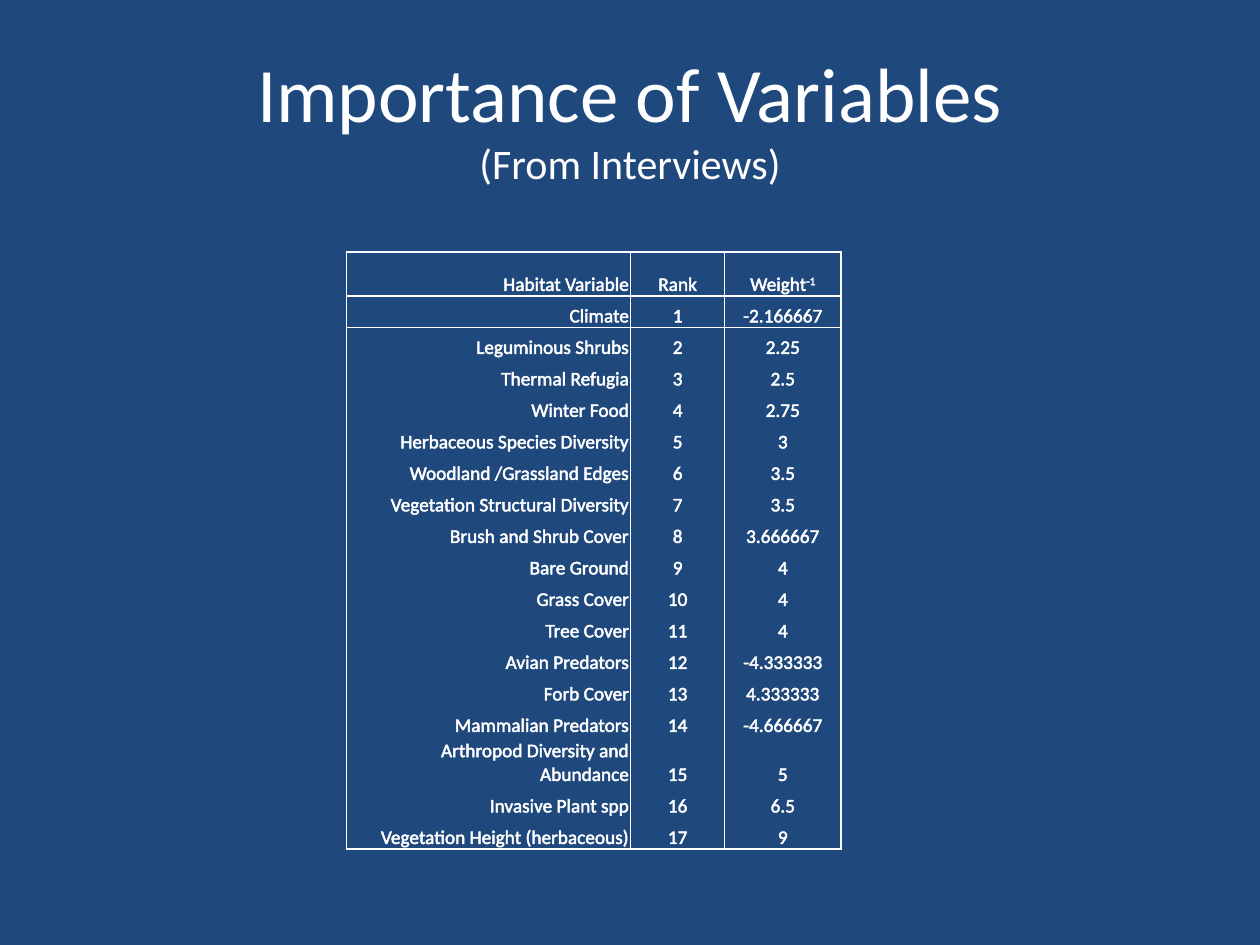
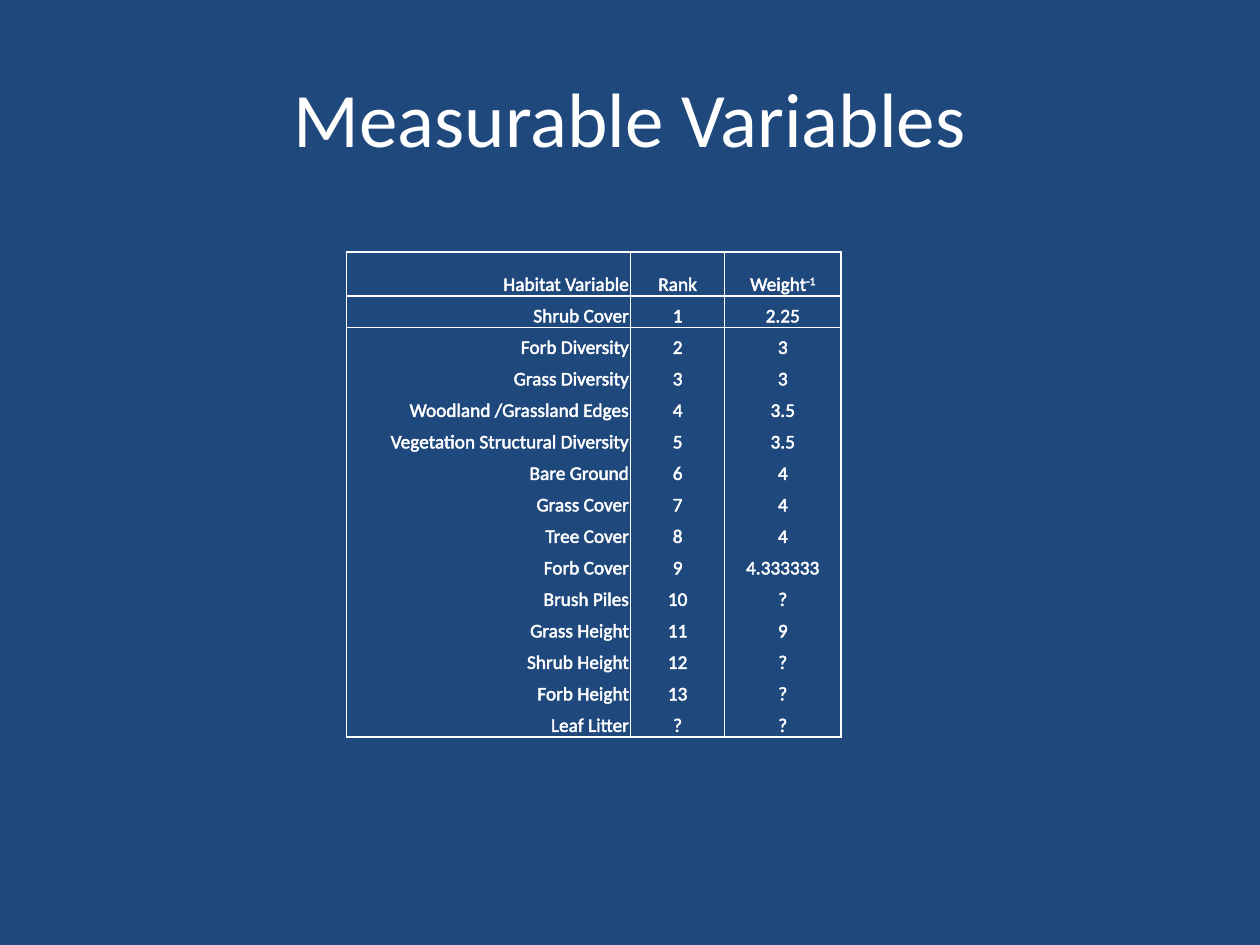
from dataclasses import dataclass

from lxml import etree
from pptx import Presentation
from pptx.dml.color import RGBColor
from pptx.enum.text import MSO_ANCHOR, MSO_AUTO_SIZE, PP_ALIGN
from pptx.oxml.ns import qn
from pptx.util import Cm, Pt

RIGHT, CENTER = PP_ALIGN.RIGHT, PP_ALIGN.CENTER
MIDDLE, BOTTOM = MSO_ANCHOR.MIDDLE, MSO_ANCHOR.BOTTOM
NO_AUTOFIT = MSO_AUTO_SIZE.NONE
TITLE_ONLY = 5
PLAIN_TABLE = "{2D5ABB26-0587-4C30-8999-92F81FD0307C}"


@dataclass(frozen=True)
class Theme:
    background: str = "1F497D"
    ink: str = "FFFFFF"
    font: str = "Calibri"
    title_size: int = 44
    subtitle_size: int = 24
    table_size: int = 11
    outline: float = 0.75
    rule: float = 1


THEME = Theme()


def add_line(parent, tag, width, position):
    line = etree.Element(qn(tag), w=str(int(Pt(width))))
    fill = etree.SubElement(line, qn("a:solidFill"))
    etree.SubElement(fill, qn("a:srgbClr"), val=THEME.ink)
    parent.insert(position, line)


def write(paragraph, text, *, size, align=CENTER, outlined=False, raised=False):
    paragraph.alignment = align
    run = paragraph.add_run()
    run.text = text
    run.font.size = Pt(size)
    run.font.name = THEME.font
    run.font.color.rgb = RGBColor.from_string(THEME.ink)
    properties = run.font._element
    if outlined:
        add_line(properties, "a:ln", THEME.outline, 0)
    if raised:
        properties.set("baseline", "30000")


HEADINGS = ("Habitat Variable", "Rank", "Weight")
EXPONENT = "-1"
COLUMN_WIDTHS = (Cm(5.72), Cm(1.9), Cm(2.34))
COLUMN_ALIGNS = (RIGHT, CENTER, CENTER)
HEADING_HEIGHT = Cm(0.89)
BODY_HEIGHT = Cm(1.27) // 2

INTERVIEW_RANKING = [
    ("Climate", "1", "-2.166667"),
    ("Leguminous Shrubs", "2", "2.25"),
    ("Thermal Refugia", "3", "2.5"),
    ("Winter Food", "4", "2.75"),
    ("Herbaceous Species Diversity", "5", "3"),
    ("Woodland /Grassland Edges", "6", "3.5"),
    ("Vegetation Structural Diversity", "7", "3.5"),
    ("Brush and Shrub Cover", "8", "3.666667"),
    ("Bare Ground", "9", "4"),
    ("Grass Cover", "10", "4"),
    ("Tree Cover", "11", "4"),
    ("Avian Predators", "12", "-4.333333"),
    ("Forb Cover", "13", "4.333333"),
    ("Mammalian Predators", "14", "-4.666667"),
    ("Arthropod Diversity and Abundance", "15", "5"),
    ("Invasive Plant spp", "16", "6.5"),
    ("Vegetation Height (herbaceous)", "17", "9"),
]
MEASURABLE_RANKING = [
    ("Shrub Cover", "1", "2.25"),
    ("Forb Diversity", "2", "3"),
    ("Grass Diversity", "3", "3"),
    ("Woodland /Grassland Edges", "4", "3.5"),
    ("Vegetation Structural Diversity", "5", "3.5"),
    ("Bare Ground", "6", "4"),
    ("Grass Cover", "7", "4"),
    ("Tree Cover", "8", "4"),
    ("Forb Cover", "9", "4.333333"),
    ("Brush Piles", "10", "?"),
    ("Grass Height", "11", "9"),
    ("Shrub Height", "12", "?"),
    ("Forb Height", "13", "?"),
    ("Leaf Litter", "?", "?"),
]
SLIDES = [
    ("Importance of Variables", "(From Interviews)", INTERVIEW_RANKING),
    ("Measurable Variables", None, MEASURABLE_RANKING),
]

deck = Presentation()
deck.slide_width, deck.slide_height = Cm(25.4), Cm(19.05)
master_fill = deck.slide_master.background.fill
master_fill.solid()
master_fill.fore_color.rgb = RGBColor.from_string(THEME.background)

for heading, subheading, ranking in SLIDES:
    slide = deck.slides.add_slide(deck.slide_layouts[TITLE_ONLY])
    title = slide.shapes.title
    title.left, title.top = Cm(1.27), Cm(0.76)
    title.width, title.height = Cm(22.86), Cm(3.18)
    title.text_frame.auto_size = NO_AUTOFIT
    title.text_frame.vertical_anchor = MIDDLE
    title_line = title.text_frame.paragraphs[0]
    write(title_line, heading, size=THEME.title_size)
    if subheading:
        title_line.add_line_break()
        write(title_line, subheading, size=THEME.subtitle_size)

    rows = [HEADINGS, *ranking]
    table = slide.shapes.add_table(
        len(rows), len(HEADINGS), Cm(6.99), Cm(5.08), sum(COLUMN_WIDTHS),
        HEADING_HEIGHT + BODY_HEIGHT * len(ranking),
    ).table
    table.first_row = table.horz_banding = False
    table._tbl.tblPr.find(qn("a:tableStyleId")).text = PLAIN_TABLE
    for column, width in zip(table.columns, COLUMN_WIDTHS):
        column.width = width

    for row_index, values in enumerate(rows):
        is_heading = row_index == 0
        table.rows[row_index].height = HEADING_HEIGHT if is_heading else BODY_HEIGHT
        edges = ["a:lnL", "a:lnR"]
        if row_index <= 1:
            edges.append("a:lnT")
        if is_heading or row_index == len(ranking):
            edges.append("a:lnB")
        for column_index, value in enumerate(values):
            cell = table.cell(row_index, column_index)
            cell.vertical_anchor = BOTTOM
            cell.margin_left = cell.margin_right = cell.margin_top = Cm(0.03)
            cell.margin_bottom = 0
            for position, edge in enumerate(edges):
                add_line(cell._tc.tcPr, edge, THEME.rule, position)
            cell.fill.background()
            cell_line = cell.text_frame.paragraphs[0]
            cell_format = dict(size=THEME.table_size, outlined=True,
                               align=COLUMN_ALIGNS[column_index])
            write(cell_line, value, **cell_format)
            if value == "Weight":
                write(cell_line, EXPONENT, raised=True, **cell_format)

deck.save("out.pptx")
